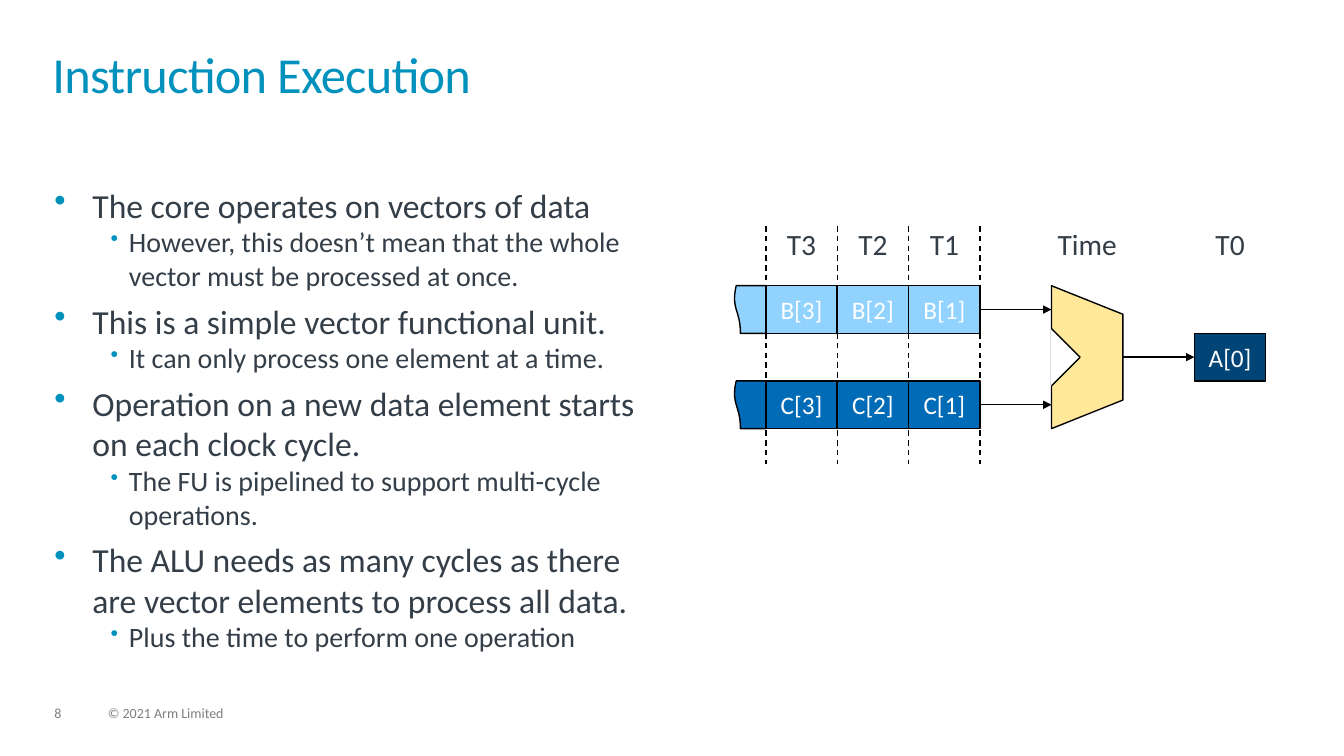
from lxml.etree import SubElement
from pptx import Presentation
from pptx.dml.color import RGBColor
from pptx.enum.dml import MSO_LINE
from pptx.enum.shapes import MSO_CONNECTOR, MSO_SHAPE
from pptx.enum.text import MSO_ANCHOR, PP_ALIGN
from pptx.oxml.ns import qn
from pptx.util import Cm, Pt

ACCENT, INK, GREY = "0091BD", "333E48", "7F7F7F"
BLACK, WHITE = "000000", "FFFFFF"
ALU_FILL, A_FILL, B_FILL, C_FILL = "FFE999", "004575", "92D2FF", "006BB6"

BULLETS = [
    (0, "The core operates on vectors of data"),
    (1, "However, this doesn’t mean that the whole vector must be processed at once."),
    (0, "This is a simple vector functional unit."),
    (1, "It can only process one element at a time."),
    (0, "Operation on a new data element starts on each clock cycle."),
    (1, "The FU is pipelined to support multi-cycle operations."),
    (0, "The ALU needs as many cycles as there are vector elements to process all data."),
    (1, "Plus the time to perform one operation"),
]
# Per level: text size, left indent, hanging indent, space before, bullet size
LEVELS = [(24, 0.96, 0.96, 6, 100), (20, 1.88, 0.46, 0, 80)]

# Diagram grid in centimetres
CELL_WIDTH, CELL_HEIGHT = 1.8, 1.2
QUEUE_LEFT, QUEUE_LENGTH = 19.3, 3
QUEUE_RIGHT = QUEUE_LEFT + QUEUE_LENGTH * CELL_WIDTH
ALU_LEFT = QUEUE_RIGHT + CELL_WIDTH
ALU_RIGHT = ALU_LEFT + CELL_WIDTH
RESULT_LEFT = ALU_RIGHT + CELL_WIDTH
B_TOP = 7.2
C_TOP = B_TOP + 2 * CELL_HEIGHT
MIDDLE = B_TOP + 1.5 * CELL_HEIGHT
NOTCH = 0.72
LABEL_TOP = 5.8


def color(hex_string):
    return RGBColor.from_string(hex_string)


class SlideBuilder:
    """Holds the font and the current slide; lengths are in centimetres."""

    def __init__(self, slide, font="Calibri"):
        self.slide = slide
        self.font = font

    def style(self, paragraph, size, ink):
        for run in paragraph.runs:
            run.font.name = self.font
            run.font.size = Pt(size)
            run.font.color.rgb = color(ink)

    def frame(self, left, top, width, height, wrap=True):
        """Adds an empty text box without margins and returns its text frame."""
        box = self.slide.shapes.add_textbox(Cm(left), Cm(top), Cm(width), Cm(height))
        text_frame = box.text_frame
        text_frame.word_wrap = wrap
        text_frame.margin_left = text_frame.margin_right = 0
        text_frame.margin_top = text_frame.margin_bottom = 0
        return text_frame

    def text(self, text, left, top, width, height, size, ink, spacing=0.9):
        text_frame = self.frame(left, top, width, height)
        text_frame.text = text
        paragraph = text_frame.paragraphs[0]
        paragraph.line_spacing = spacing
        self.style(paragraph, size, ink)
        return paragraph

    def label(self, text, left):
        """Writes a time label centred over one grid column."""
        paragraph = self.text(text, left, LABEL_TOP, CELL_WIDTH, 0.8, 21, INK)
        paragraph.alignment = PP_ALIGN.CENTER

    def bullets(self, items, left, top, width, height):
        text_frame = self.frame(left, top, width, height)
        for index, (level, text) in enumerate(items):
            size, indent, hanging, before, bullet_size = LEVELS[level]
            paragraph = text_frame.add_paragraph() if index else text_frame.paragraphs[0]
            paragraph.text = text
            paragraph.level = level
            if index:
                paragraph.space_before = Pt(before)
            properties = paragraph._p.get_or_add_pPr()
            properties.set("marL", str(Cm(indent)))
            properties.set("indent", str(-Cm(hanging)))
            bullet_color = SubElement(properties, qn("a:buClr"))
            SubElement(bullet_color, qn("a:srgbClr"), val=ACCENT)
            SubElement(properties, qn("a:buSzPct"), val=str(bullet_size * 1000))
            SubElement(properties, qn("a:buChar"), char="•")
            self.style(paragraph, size, INK)

    def shape(self, kind, left, top, width, height, fill, rotation=0, outlined=True):
        shape = self.slide.shapes.add_shape(kind, Cm(left), Cm(top), Cm(width), Cm(height))
        shape.shadow.inherit = False
        shape.rotation = rotation
        shape.fill.solid()
        shape.fill.fore_color.rgb = color(fill)
        if outlined:
            shape.line.color.rgb = color(BLACK)
            shape.line.width = Pt(1)
        else:
            shape.line.fill.background()
        return shape

    def turned(self, kind, left, middle, width, height, fill, rotation, outlined=True):
        """Adds a quarter-turned shape; width and height are as seen on the slide."""
        return self.shape(kind, left + (width - height) / 2, middle - width / 2,
                          height, width, fill, rotation, outlined)

    def cell(self, text, left, top, fill):
        shape = self.shape(MSO_SHAPE.RECTANGLE, left, top, CELL_WIDTH, CELL_HEIGHT, fill)
        text_frame = shape.text_frame
        text_frame.margin_left = text_frame.margin_right = 0
        text_frame.vertical_anchor = MSO_ANCHOR.MIDDLE
        text_frame.text = text
        paragraph = text_frame.paragraphs[0]
        paragraph.alignment = PP_ALIGN.CENTER
        self.style(paragraph, 18, WHITE)

    def line(self, start, end, ink=BLACK, dashed=False, arrow=False):
        connector = self.slide.shapes.add_connector(
            MSO_CONNECTOR.STRAIGHT, *(Cm(value) for value in (*start, *end)))
        connector.line.color.rgb = color(ink)
        connector.line.width = Pt(1)
        if dashed:
            connector.line.dash_style = MSO_LINE.DASH
        if arrow:
            SubElement(connector.line._get_or_add_ln(), qn("a:tailEnd"), type="triangle")
        SubElement(connector._element.spPr, qn("a:effectLst"))


def draw_alu(builder):
    builder.turned(MSO_SHAPE.FLOWCHART_MANUAL_OPERATION, ALU_LEFT, MIDDLE,
                   CELL_WIDTH, 3 * CELL_HEIGHT, ALU_FILL, 270)
    builder.turned(MSO_SHAPE.ISOSCELES_TRIANGLE, ALU_LEFT, MIDDLE,
                   NOTCH, 2 * NOTCH, WHITE, 90, outlined=False)
    upper, lower = (ALU_LEFT, MIDDLE - NOTCH), (ALU_LEFT, MIDDLE + NOTCH)
    tip = (ALU_LEFT + NOTCH, MIDDLE)
    builder.line(upper, lower, WHITE)
    builder.line(upper, tip)
    builder.line(lower, tip)


def draw_queue(builder, name, top, fill):
    """Draws one operand row with its torn end and its arrow to the ALU."""
    middle = top + CELL_HEIGHT / 2
    for column in range(QUEUE_LENGTH):
        builder.cell(f"{name}[{QUEUE_LENGTH - column}]",
                     QUEUE_LEFT + column * CELL_WIDTH, top, fill)
    builder.turned(MSO_SHAPE.FLOWCHART_DOCUMENT, QUEUE_LEFT - 0.8, middle,
                   0.8, CELL_HEIGHT, fill, 90)
    builder.line((QUEUE_RIGHT, middle), (ALU_LEFT, middle), arrow=True)


def main():
    presentation = Presentation()
    presentation.slide_width, presentation.slide_height = Cm(33.87), Cm(19.05)
    builder = SlideBuilder(presentation.slides.add_slide(presentation.slide_layouts[6]))

    builder.text("8", 1.37, 17.8, 0.86, 0.38, 10, GREY)
    builder.text("© 2021 Arm Limited", 2.72, 17.8, 12.88, 0.38, 10, GREY)
    title = builder.text("Instruction Execution", 1.32, 1.32, 31.2, 1.83, 36, ACCENT, 0.85)
    title.runs[0].font._element.set("spc", "-50")
    builder.bullets(BULLETS, 1.37, 4.65, 15.2, 11.35)

    draw_alu(builder)
    draw_queue(builder, "B", B_TOP, B_FILL)
    draw_queue(builder, "C", C_TOP, C_FILL)
    builder.cell("A[0]", RESULT_LEFT, MIDDLE - CELL_HEIGHT / 2, A_FILL)
    builder.line((ALU_RIGHT, MIDDLE), (RESULT_LEFT, MIDDLE), arrow=True)

    builder.label("Time", ALU_LEFT)
    builder.label("T0", RESULT_LEFT)
    for column in range(QUEUE_LENGTH):
        builder.label(f"T{QUEUE_LENGTH - column}", QUEUE_LEFT + column * CELL_WIDTH)
    for column in range(QUEUE_LENGTH + 1):
        x = QUEUE_LEFT + column * CELL_WIDTH
        builder.line((x, 5.7), (x, 11.7), dashed=True)

    presentation.save("out.pptx")


if __name__ == "__main__":
    main()
